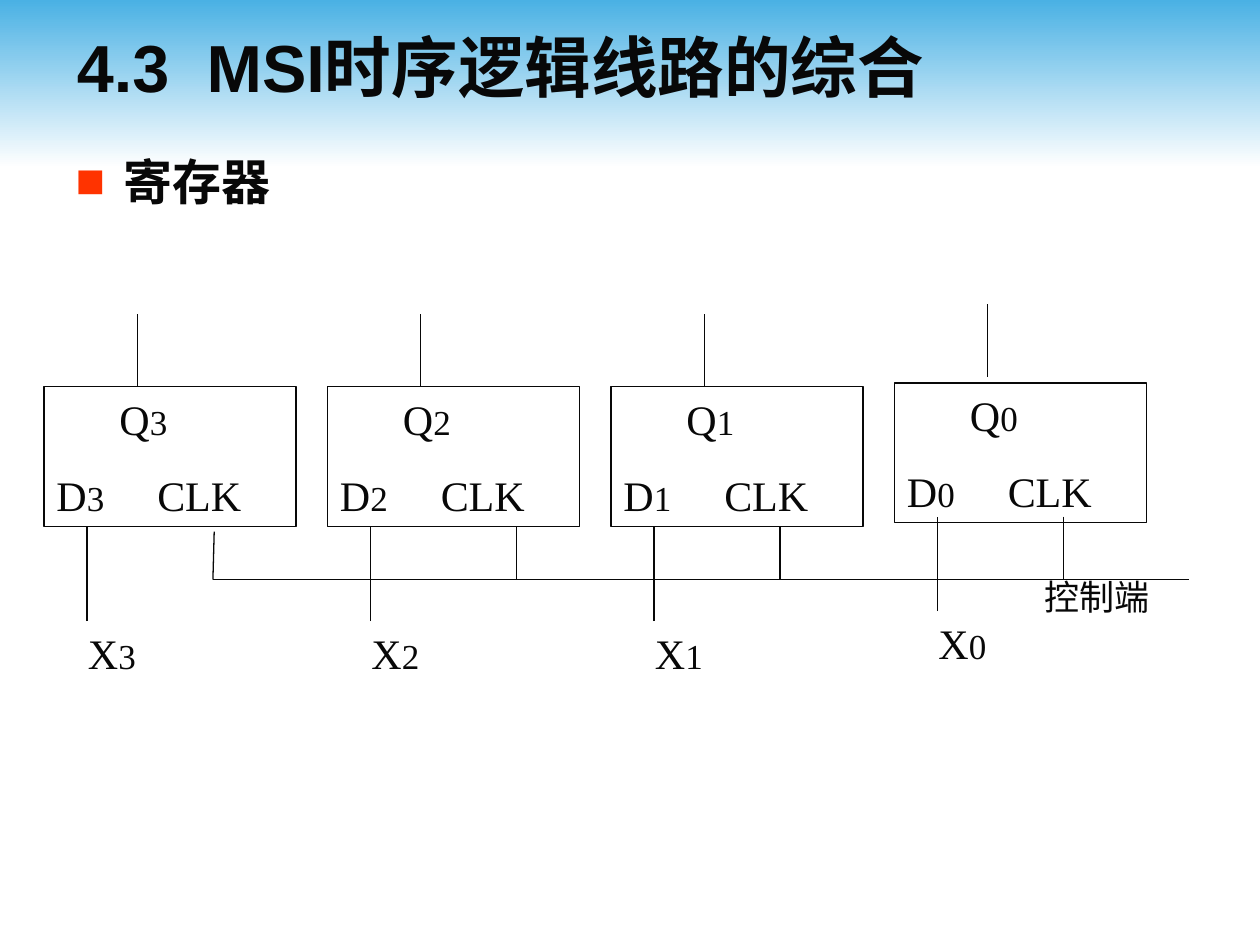
from lxml import etree
from pptx import Presentation
from pptx.dml.color import RGBColor
from pptx.enum import shapes, text
from pptx.oxml.ns import qn
from pptx.util import Inches, Pt

COLORS = {"ink": "080808", "sky": "4AB1E4", "white": "FFFFFF", "bullet": "FF3300"}
SERIF = "Times New Roman"
SANS = "Arial"
CJK = "Noto Sans CJK JP"

TITLE = "4.3\tMSI时序逻辑线路的综合"
TOPIC = "寄存器"
CONTROL_LABEL = "控制端"
FLIP_FLOPS = [
    {"digit": "3", "box_top": 3.07, "lift": 0},
    {"digit": "2", "box_top": 3.07, "lift": 0},
    {"digit": "1", "box_top": 3.07, "lift": 0},
    {"digit": "0", "box_top": 3.04, "lift": 0.08},
]
FIRST_LEFT, PITCH = 0.35, 2.25
BUS_LEFT, BUS_RIGHT, BUS_Y = 1.69, 9.44, 4.6
CLOCK_TAPS = [(1.7, 4.22, 1.69), (4.1, 4.18, 4.1), (6.19, 4.18, 6.19), (8.44, 4.1, 8.44)]


def color(name):
    return RGBColor.from_string(COLORS[name])


def place(shape, left, top, width, height):
    shape.left, shape.top = Inches(left), Inches(top)
    shape.width, shape.height = Inches(width), Inches(height)


def add_tab(paragraph, position):
    tabs = etree.SubElement(paragraph._p.get_or_add_pPr(), qn("a:tabLst"))
    etree.SubElement(tabs, qn("a:tab"), pos=str(Inches(position)), algn="l")


def add_bullet(paragraph, character, indent):
    properties = paragraph._p.get_or_add_pPr()
    properties.set("marL", str(Inches(indent)))
    properties.set("indent", str(-Inches(indent)))
    bullet_color = etree.SubElement(properties, qn("a:buClr"))
    etree.SubElement(bullet_color, qn("a:srgbClr"), val=COLORS["bullet"])
    etree.SubElement(properties, qn("a:buFont"), typeface=SANS)
    etree.SubElement(properties, qn("a:buChar"), char=character)


def set_font(paragraph, name, size=None, bold=False):
    font = paragraph.font
    font.name, font.bold = name, bold
    font.color.rgb = color("ink")
    if size:
        font.size = Pt(size)


def add_runs(paragraph, runs):
    for words, size in runs:
        run = paragraph.add_run()
        run.text = words
        run.font.size = Pt(size)
    set_font(paragraph, SERIF)
    paragraph.alignment = text.PP_ALIGN.LEFT


def add_label(slide, left, top, width, height, runs):
    label = slide.shapes.add_textbox(*map(Inches, (left, top, width, height)))
    label.text_frame.word_wrap = True
    add_runs(label.text_frame.paragraphs[0], runs)


def add_line(slide, x1, y1, x2, y2):
    line = slide.shapes.add_connector(
        shapes.MSO_CONNECTOR.STRAIGHT, *map(Inches, (x1, y1, x2, y2)))
    line.line.color.rgb = color("ink")
    line.line.width = Pt(0.75)
    etree.SubElement(line._element.spPr, qn("a:effectLst"))


def add_rectangle(slide, left, top, width, height):
    shape = slide.shapes.add_shape(
        shapes.MSO_SHAPE.RECTANGLE, *map(Inches, (left, top, width, height)))
    shape.shadow.inherit = False
    return shape


def add_banner(slide):
    banner = add_rectangle(slide, 0, 0, 10, 1.33)
    banner.line.fill.background()
    banner.fill.gradient()
    banner.fill.gradient_angle = 270
    for stop, name in zip(banner.fill.gradient_stops, ("sky", "white")):
        stop.color.rgb = color(name)
    slide.shapes._spTree.insert(2, banner._element)


def add_headings(slide):
    title, body = slide.placeholders
    place(title, 0.51, 0.05, 9, 0.95)
    title.text_frame.text = TITLE
    title.text_frame.vertical_anchor = text.MSO_ANCHOR.MIDDLE
    paragraph = title.text_frame.paragraphs[0]
    add_tab(paragraph, 1.03)
    paragraph.alignment = text.PP_ALIGN.LEFT
    set_font(paragraph, SANS, 38, True)

    place(body, 0.5, 1.15, 9, 5.77)
    body.text_frame.text = TOPIC
    paragraph = body.text_frame.paragraphs[0]
    add_bullet(paragraph, "■", 0.38)
    paragraph.space_before = Pt(0)
    set_font(paragraph, CJK, 28, True)


def add_flip_flop(slide, left, digit, box_top, lift):
    box = add_rectangle(slide, left, box_top, 2, 1.11)
    box.fill.background()
    box.line.color.rgb = color("ink")
    box.line.width = Pt(0.75)
    frame = box.text_frame
    frame.vertical_anchor = text.MSO_ANCHOR.TOP
    output = frame.paragraphs[0]
    output._p.get_or_add_pPr().set("marL", str(Inches(0.5)))
    add_runs(output, [("Q", 24), (digit, 20)])
    inputs = frame.add_paragraph()
    add_tab(inputs, 0.8)
    inputs.space_before = Pt(15)
    add_runs(inputs, [("D", 24), (digit, 20), ("\tCLK", 24)])

    add_line(slide, left + 0.74, 3.07 - lift, left + 0.74, 2.49 - lift)
    add_line(slide, left + 0.34, 4.93 - lift, left + 0.34, 4.18 - lift)
    add_label(slide, left + 0.25, 4.93 - lift, 0.67, 0.5, [("X", 24), (digit, 20)])


def main():
    presentation = Presentation()
    presentation.slide_width, presentation.slide_height = Inches(10), Inches(7.5)
    slide = presentation.slides.add_slide(presentation.slide_layouts[1])
    add_banner(slide)
    add_headings(slide)
    for index, flip_flop in enumerate(FLIP_FLOPS):
        add_flip_flop(slide, FIRST_LEFT + index * PITCH, **flip_flop)
    add_line(slide, BUS_LEFT, BUS_Y, BUS_RIGHT, BUS_Y)
    for x, y, bus_x in CLOCK_TAPS:
        add_line(slide, x, y, bus_x, BUS_Y)
    add_label(slide, 8.19, 4.52, 1.58, 0.44, [(CONTROL_LABEL, 20)])
    presentation.save("out.pptx")


if __name__ == "__main__":
    main()
